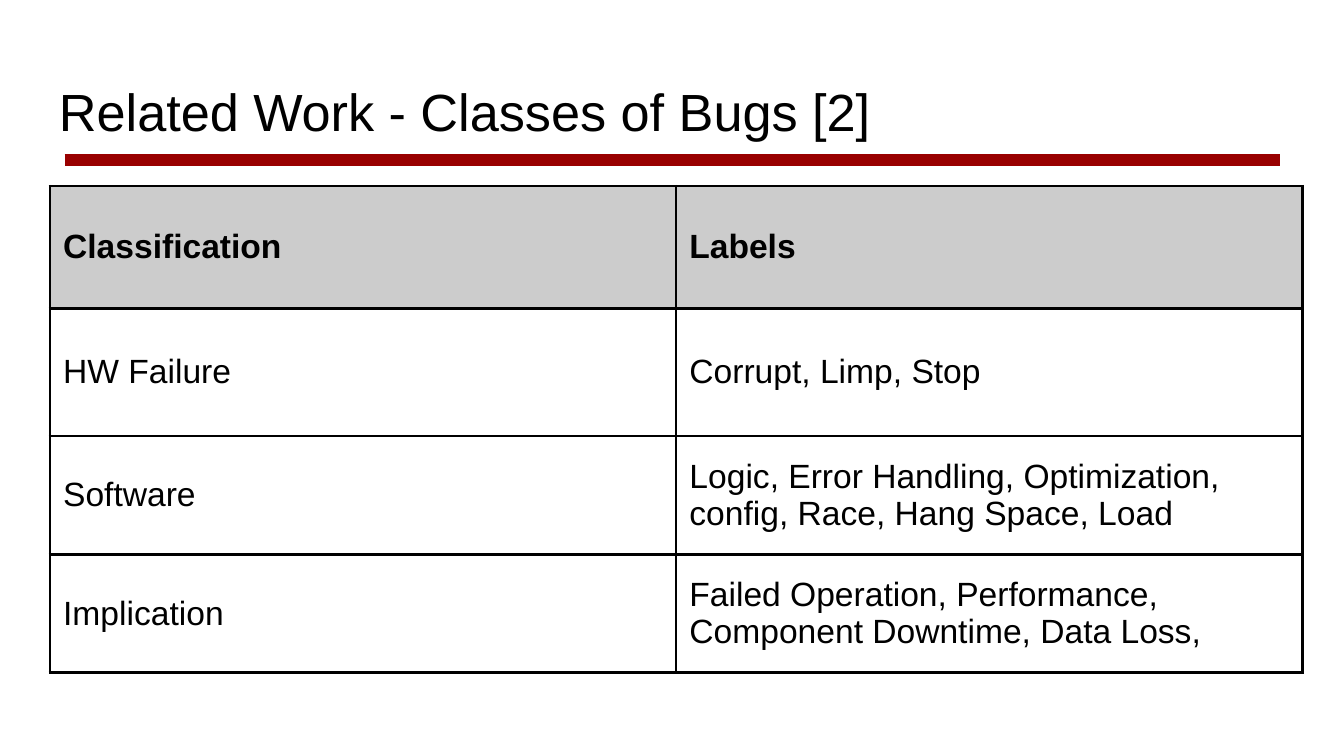
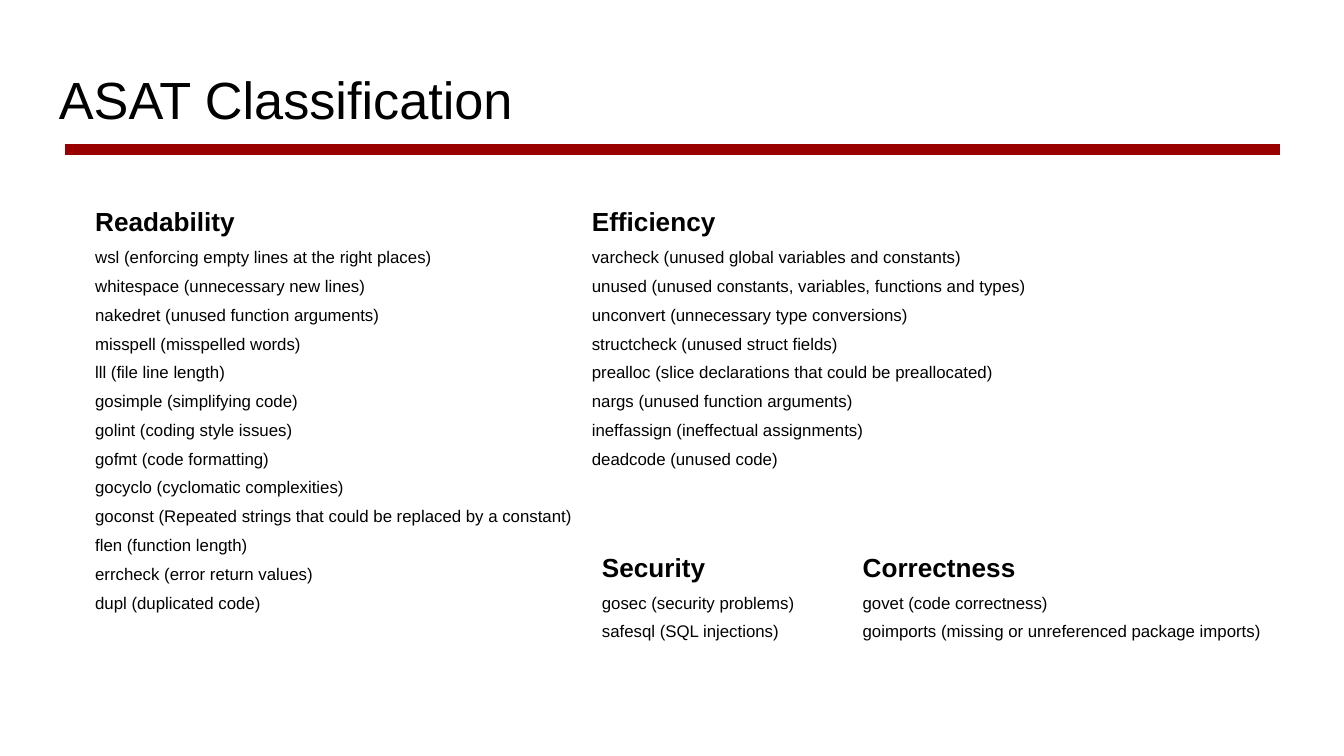
from dataclasses import dataclass

from lxml.etree import SubElement
from pptx import Presentation
from pptx.dml.color import RGBColor
from pptx.enum.shapes import MSO_CONNECTOR
from pptx.enum.text import MSO_ANCHOR
from pptx.oxml.ns import qn
from pptx.slide import Slide
from pptx.table import _Cell
from pptx.text.text import TextFrame, _Paragraph
from pptx.util import Emu, Pt

FONT = "Arial"
BLACK, WHITE, GREY, RED = "000000", "FFFFFF", "CCCCCC", "990000"
SCALE = 4572
PAD = 20


@dataclass
class Group:
    left: int
    top: int
    width: int
    height: int
    head: str
    items: list[str]


ROWS = [
    ("Classification", "Labels"),
    ("HW Failure", "Corrupt, Limp, Stop"),
    ("Software", "Logic, Error Handling, Optimization, config, Race, Hang Space, Load"),
    ("Implication", "Failed Operation, Performance, Component Downtime, Data Loss,"),
]
HEIGHTS = [182, 190, 176, 176]
COLUMN = 932

GROUPS = [
    Group(122, 286, 754, 672, "Readability", [
        "wsl (enforcing empty lines at the right places)",
        "whitespace (unnecessary new lines)",
        "nakedret (unused function arguments)",
        "misspell (misspelled words)",
        "lll (file line length)",
        "gosimple (simplifying code)",
        "golint (coding style issues)",
        "gofmt (code formatting)",
        "gocyclo (cyclomatic complexities)",
        "goconst (Repeated strings that could be replaced by a constant)",
        "flen (function length)",
        "errcheck (error return values)",
        "dupl (duplicated code)",
    ]),
    Group(876, 800, 342, 212, "Security", [
        "gosec (security problems)",
        "safesql (SQL injections)",
    ]),
    Group(1264, 800, 650, 212, "Correctness", [
        "govet (code correctness)",
        "goimports (missing or unreferenced package imports)",
    ]),
    Group(861, 286, 724, 514, "Efficiency", [
        "varcheck (unused global variables and constants)",
        "unused (unused constants, variables, functions and types)",
        "unconvert (unnecessary type conversions)",
        "structcheck (unused struct fields)",
        "prealloc (slice declarations that could be preallocated)",
        "nargs (unused function arguments)",
        "ineffassign (ineffectual assignments)",
        "deadcode (unused code)",
    ]),
]


def px(size: int) -> Emu:
    return Emu(size * SCALE)


def color(code: str) -> RGBColor:
    return RGBColor.from_string(code)


def style(para: _Paragraph, size: int, bold: bool = False) -> None:
    for run in para.runs:
        font = run.font
        font.name, font.size, font.bold = FONT, Pt(size), bold
        font.color.rgb = color(BLACK)


def inset(owner: TextFrame | _Cell) -> None:
    owner.margin_left = owner.margin_right = px(PAD)
    owner.margin_top = owner.margin_bottom = px(PAD)


def add_title(slide: Slide, text: str, top: int, rule: int) -> None:
    box = slide.shapes.add_textbox(px(68), px(top), px(1864), px(126))
    box.fill.solid()
    box.fill.fore_color.rgb = color(WHITE)
    frame = box.text_frame
    frame.word_wrap = True
    inset(frame)
    frame.text = text
    style(frame.paragraphs[0], 28)
    line = slide.shapes.add_connector(
        MSO_CONNECTOR.STRAIGHT, px(96), px(rule), px(1905), px(rule))
    line.line.color.rgb = color(RED)
    line.line.width = Pt(6)
    SubElement(line._element.spPr, qn("a:effectLst"))


def add_edges(cell: _Cell) -> None:
    props = cell._tc.get_or_add_tcPr()
    for side in ("lnL", "lnR", "lnT", "lnB"):
        edge = SubElement(props, qn(f"a:{side}"), w=str(Pt(1.5)))
        fill = SubElement(edge, qn("a:solidFill"))
        SubElement(fill, qn("a:srgbClr"), val=BLACK)


def add_grid(slide: Slide) -> None:
    shape = slide.shapes.add_table(
        len(ROWS), 2, px(74), px(277), px(2 * COLUMN), px(sum(HEIGHTS)))
    table = shape.table
    table.horz_banding = False
    for column in table.columns:
        column.width = px(COLUMN)
    for i, (texts, height) in enumerate(zip(ROWS, HEIGHTS)):
        table.rows[i].height = px(height)
        for j, text in enumerate(texts):
            cell = table.cell(i, j)
            inset(cell)
            cell.vertical_anchor = MSO_ANCHOR.MIDDLE
            cell.text_frame.text = text
            style(cell.text_frame.paragraphs[0], 18, i == 0)
            add_edges(cell)
            if i == 0:
                cell.fill.solid()
                cell.fill.fore_color.rgb = color(GREY)
            else:
                cell.fill.background()


def add_group(slide: Slide, group: Group) -> None:
    box = slide.shapes.add_textbox(
        px(group.left), px(group.top), px(group.width), px(group.height))
    frame = box.text_frame
    frame.word_wrap = True
    inset(frame)
    frame.text = "\n".join([group.head, *group.items])
    head, *items = frame.paragraphs
    style(head, 14, True)
    head.space_before = Pt(10)
    for item in items:
        style(item, 9)
        item.line_spacing = 0.5
        item.space_before = Pt(10)
    items[-1].space_after = Pt(10)


def main() -> None:
    deck = Presentation()
    deck.slide_width, deck.slide_height = px(2000), px(1125)
    blank = deck.slide_layouts[6]

    bugs = deck.slides.add_slide(blank)
    add_title(bugs, "Related Work - Classes of Bugs [2]", 98, 238)
    add_grid(bugs)

    tools = deck.slides.add_slide(blank)
    add_title(tools, "ASAT Classification", 80, 223)
    for group in GROUPS:
        add_group(tools, group)

    deck.save("out.pptx")


if __name__ == "__main__":
    main()
